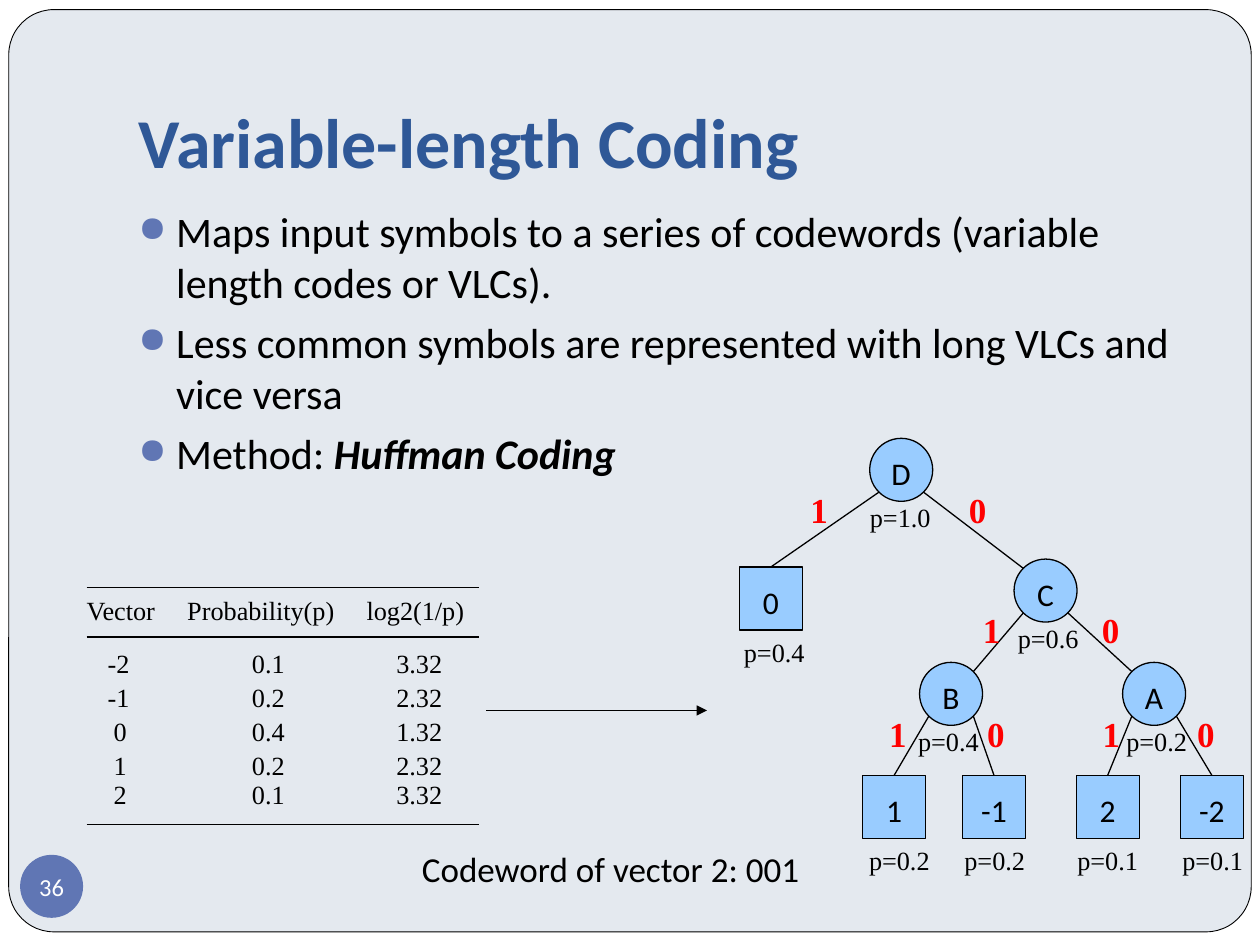
from lxml.etree import SubElement
from pptx import Presentation
from pptx.dml.color import RGBColor
from pptx.enum.shapes import MSO_CONNECTOR, MSO_SHAPE
from pptx.enum.text import MSO_ANCHOR, PP_ALIGN
from pptx.oxml.ns import qn
from pptx.util import Pt

BLACK = RGBColor(0, 0, 0)
WHITE = RGBColor(255, 255, 255)
RED = RGBColor(255, 0, 0)
PALE = RGBColor(0xE4, 0xE9, 0xEF)
NAVY = RGBColor(0x2F, 0x58, 0x97)
BLUE = RGBColor(0x60, 0x76, 0xB4)
SKY = RGBColor(0x99, 0xCC, 0xFF)
SANS, SERIF = "Calibri", "Times New Roman"
THIN = 0.74
NODE = 36
DIAG = 5.3  # inset of a circle's diagonal point from its box


def style(para, size, font=SANS, color=BLACK, bold=False):
    face = para.font
    face.size, face.name, face.bold = Pt(size), font, bold
    face.color.rgb = color


def shape(slide, kind, x, y, w, h, fill, line=None):
    item = slide.shapes.add_shape(kind, Pt(x), Pt(y), Pt(w), Pt(h))
    item.shadow.inherit = False
    item.fill.solid()
    item.fill.fore_color.rgb = fill
    if line:
        item.line.color.rgb = BLACK
        item.line.width = Pt(line)
    else:
        item.line.fill.background()
    return item


def mark(item, text, size, color=BLACK, space=1.0):
    frame = item.text_frame
    frame.word_wrap = False
    frame.vertical_anchor = MSO_ANCHOR.MIDDLE
    para = frame.paragraphs[0]
    para.text, para.alignment, para.line_spacing = text, PP_ALIGN.CENTER, space
    style(para, size, color=color)


def label(slide, x, y, w, h, text, size, font=SERIF, color=BLACK, bold=False, space=1.16):
    frame = slide.shapes.add_textbox(Pt(x), Pt(y), Pt(w), Pt(h)).text_frame
    frame.word_wrap = True
    para = frame.paragraphs[0]
    para.text, para.line_spacing = text, space
    style(para, size, font, color, bold)


def link(slide, x1, y1, x2, y2, arrow=False):
    line = slide.shapes.add_connector(MSO_CONNECTOR.STRAIGHT, Pt(x1), Pt(y1), Pt(x2), Pt(y2))
    line.line.color.rgb = BLACK
    line.line.width = Pt(THIN)
    if arrow:
        SubElement(line.line._get_or_add_ln(), qn("a:tailEnd"), type="triangle")
    SubElement(line._element.spPr, qn("a:effectLst"))


# Background card and slide number
def frame(slide, x, y, w, h):
    slide.background.fill.solid()
    slide.background.fill.fore_color.rgb = WHITE
    card = shape(slide, MSO_SHAPE.ROUNDED_RECTANGLE, x, y, w, h, PALE, 0.5)
    card.adjustments[0] = 0.049
    slide.shapes._spTree.insert(2, card._element)
    disc = shape(slide, MSO_SHAPE.OVAL, x + 6.5, y + 483, 36, 36, BLUE)
    mark(disc, "36", 14, WHITE)
    text = disc.text_frame
    text.margin_left = text.margin_right = text.margin_top = text.margin_bottom = 0


# Title placeholder
def title(slide, x, y, w, h):
    head = slide.shapes.title
    head.left, head.top, head.width, head.height = Pt(x), Pt(y), Pt(w), Pt(h)
    text = head.text_frame
    text.vertical_anchor = MSO_ANCHOR.BOTTOM
    text.margin_bottom = Pt(7.2)
    para = text.paragraphs[0]
    para.text, para.alignment = "Variable-length Coding", PP_ALIGN.LEFT
    style(para, 40, color=NAVY, bold=True)


# Bulleted points; the second part of each is emphasised
def points(slide, x, y, w, h):
    items = [
        ("Maps input symbols to a series of codewords (variable length codes or VLCs).", ""),
        ("Less common symbols are represented with long VLCs and vice versa", ""),
        ("Method: ", "Huffman Coding"),
    ]
    text = slide.shapes.add_textbox(Pt(x), Pt(y), Pt(w), Pt(h)).text_frame
    text.word_wrap = True
    for i, (plain, strong) in enumerate(items):
        para = text.add_paragraph() if i else text.paragraphs[0]
        para.space_before = Pt(5.8)
        style(para, 24, bold=None)
        para.add_run().text = plain
        if strong:
            run = para.add_run()
            run.text = strong
            run.font.bold = run.font.italic = True
        props = para._p.get_or_add_pPr()
        props.set("marL", str(Pt(21.6)))
        props.set("indent", str(-Pt(21.6)))
        tint = SubElement(props, qn("a:buClr"))
        SubElement(tint, qn("a:srgbClr"), val=str(BLUE))
        SubElement(props, qn("a:buSzPct"), val="85000")
        SubElement(props, qn("a:buChar"), char="●")
        props.append(props.find(qn("a:defRPr")))  # the schema wants this last


def edge(cell, sides):
    props = cell._tc.get_or_add_tcPr()
    for i, side in enumerate(("lnL", "lnR", "lnT", "lnB")):
        ln = SubElement(props, qn("a:" + side), w=str(Pt(THIN)))
        props.insert(i, ln)
        if side in sides:
            fill = SubElement(ln, qn("a:solidFill"))
            SubElement(fill, qn("a:srgbClr"), val=str(BLACK))
        else:
            SubElement(ln, qn("a:noFill"))


# Probability table
def odds(slide, x, y):
    rows = [
        ("Vector", "Probability(p)", "log2(1/p)"),
        ("-2", "0.1", "3.32"),
        ("-1", "0.2", "2.32"),
        ("0", "0.4", "1.32"),
        ("1", "0.2", "2.32"),
        ("2", "0.1", "3.32"),
    ]
    wide = [57.5, 102.5, 64]
    tall = [28.5, 24, 19.5, 19.5, 19.5, 25]
    pads = [12, 37, 17]
    last = len(rows) - 1
    grid = slide.shapes.add_table(len(rows), len(wide), Pt(x), Pt(y),
                                  Pt(sum(wide)), Pt(sum(tall))).table
    grid.first_row = grid.horz_banding = False
    for col, size in zip(grid.columns, wide):
        col.width = Pt(size)
    for r, row in enumerate(rows):
        grid.rows[r].height = Pt(tall[r])
        for c, value in enumerate(row):
            cell = grid.cell(r, c)
            cell.fill.background()
            cell.margin_left = Pt(pads[c] + (3.5 if c == 0 and value[0] != "-" else 0)) if r else 0
            cell.margin_right = cell.margin_top = cell.margin_bottom = 0
            cell.vertical_anchor = {0: MSO_ANCHOR.MIDDLE, last: MSO_ANCHOR.TOP}.get(r, MSO_ANCHOR.BOTTOM)
            para = cell.text_frame.paragraphs[0]
            para.text = value
            style(para, 15, SERIF)
            edge(cell, {0: ("lnT", "lnB"), 1: ("lnT",), last: ("lnB",)}.get(r, ()))


# Huffman tree
def tree(slide, x, y):
    # name: left, top, probability, its shift, parent, branch bit, shift of the bit
    nodes = {
        "D": (79, 0, "1.0", -7, None, None, 0),
        "C": (161.5, 69, "0.6", -5, "D", "0", 49.5),
        "B": (107.5, 128, "0.4", -8, "C", "1", -25),
        "A": (223.5, 128, "0.2", -5, "C", "0", 43),
        "0": (4.5, 73.5, "0.4", -4.5, "D", "1", -41),
        "1": (75, 192.5, "0.2", -3.5, "B", "1", -24.5),
        "-1": (132, 192.5, "0.2", -6, "B", "0", 31.5),
        "2": (197, 192.5, "0.1", -6.5, "A", "1", -18.5),
        "-2": (256.5, 192.5, "0.1", -6, "A", "0", 35.5),
    }
    for name, (dx, dy, prob, shift, above, bit, side) in nodes.items():
        left, top = x + dx, y + dy
        inner = name.isalpha()
        kind = MSO_SHAPE.OVAL if inner else MSO_SHAPE.RECTANGLE
        mark(shape(slide, kind, left, top, NODE, NODE, SKY, THIN), name, 18, space=1.16)
        label(slide, left + shift, top + (29.5 if inner else 33), 54, 28, "p=" + prob, 15)
        if above:
            px, py = x + nodes[above][0], y + nodes[above][1]
            near, far = DIAG, NODE - DIAG
            start = px + (near if bit == "1" else far)
            end = (far if bit == "1" else near) if inner else NODE / 2
            link(slide, left + end, top + (near if inner else 0), start, py + far)
            label(slide, px + side, py + 21, 29, 37.5, bit, 20, color=RED, bold=True)


deck = Presentation()
deck.slide_width, deck.slide_height = Pt(720), Pt(540)
page = deck.slides.add_slide(deck.slide_layouts[5])
frame(page, 5, 5.5, 710, 527)
title(page, 72, 21.5, 612, 90)
points(page, 72, 114, 612, 360)
odds(page, 49.5, 335.5)
link(page, 278, 406, 404, 406, arrow=True)
tree(page, 418, 250.5)
label(page, 234, 481, 236, 31.5, "Codeword of vector 2: 001", 20, font=SANS, space=1.0)
deck.save("out.pptx")
